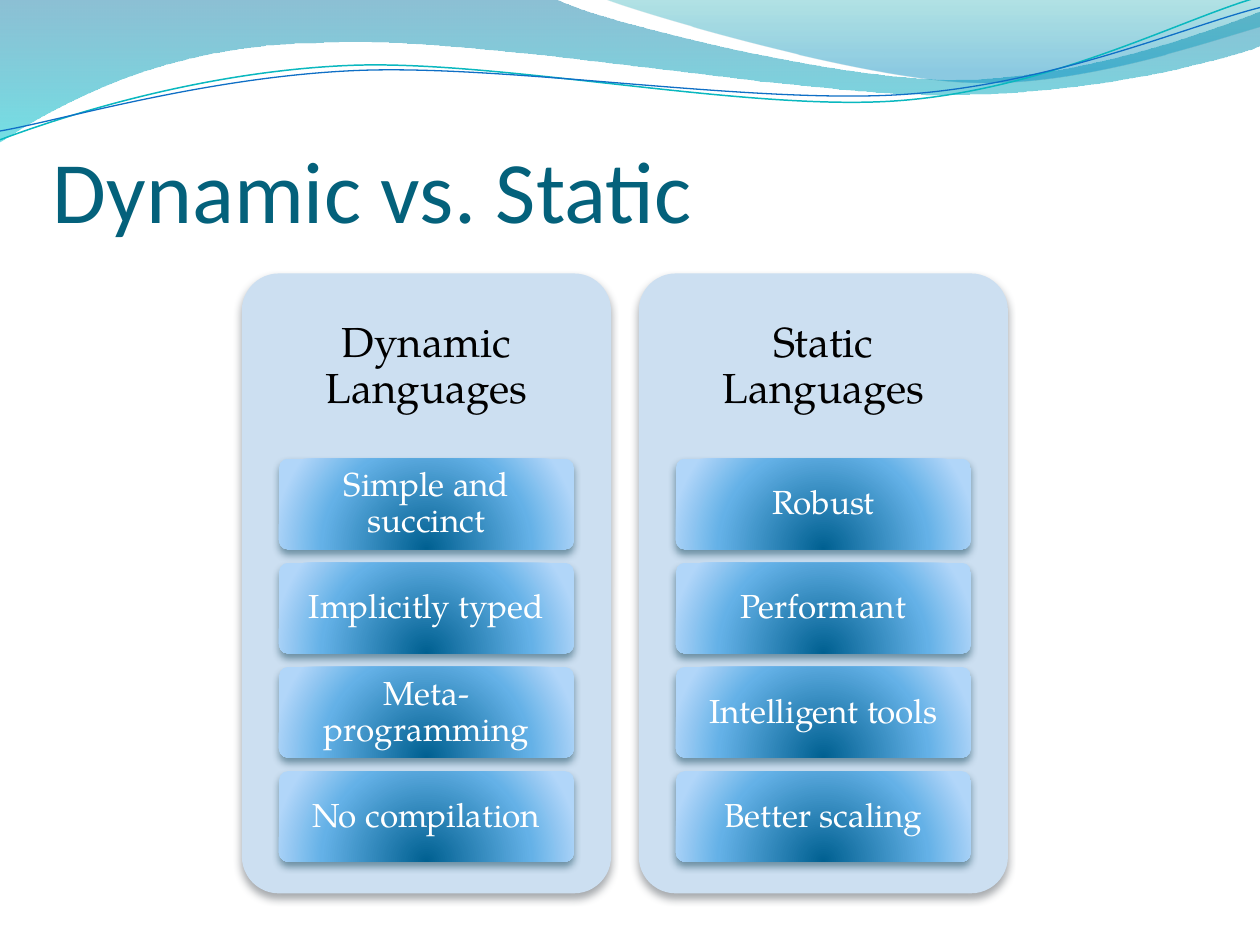
from lxml.etree import SubElement
from pptx import Presentation
from pptx.dml.color import RGBColor
from pptx.enum.shapes import MSO_SHAPE as Shape
from pptx.enum.text import MSO_ANCHOR as Anchor, MSO_AUTO_SIZE as AutoSize, PP_ALIGN as Align
from pptx.oxml.ns import qn
from pptx.util import Inches, Pt

COLORS = {
    "title": "04617B", "panel": "CCDFF1", "heading": "000000", "label": "FFFFFF",
    "panel_shadow": "474E55", "bar_shadow": "00374C",
    "bar_dark": "006091", "bar_mid": "64B1E7", "bar_light": "B1D6F9",
    "wave_blue": "0074A1", "wave_aqua": "00C6CF",
    "crest_teal": "00A1A9", "crest_blue": "008BBF",
    "line_teal": "0AB8BF", "line_blue": "0F6FC6",
}
WAVE = [(0, -0.01), (4.4, -0.01), (4.76, 0.17, 6.64, 0.63, 7.58, 0.63),
        (8.53, 0.63, 9.58, 0.26, 10, 0.09), (10.01, 0.36),
        (9.83, 0.44, 8.7, 0.76, 7.46, 0.75), (6.22, 0.75, 3.82, 0.28, 2.57, 0.34),
        (1.29, 0.35, 0.46, 0.83, -0.01, 1.13)]
CREST = [(4.79, -0.01), (5.09, 0.11, 6.82, 0.62, 7.69, 0.65),
         (8.56, 0.69, 9.61, 0.32, 10, 0.21), (10, 0)]
TEAL_LINE = [(0, 1.11), (0.48, 0.93, 1.58, 0.57, 2.77, 0.52),
             (3.95, 0.47, 5.93, 0.89, 7.13, 0.8), (8.33, 0.71, 9.38, 0.15, 9.98, -0.02)]
BLUE_LINE = [(0, 1.04), (0.47, 0.96, 1.64, 0.61, 2.83, 0.56),
             (4.03, 0.51, 5.97, 0.83, 7.17, 0.75), (8.36, 0.67, 9.41, 0.21, 10, 0.06)]
COLUMNS = [
    (("Dynamic", "Languages"),
     ["Simple and succinct", "Implicitly typed", "Meta-programming", "No compilation"]),
    (("Static", "Languages"),
     ["Robust", "Performant", "Intelligent tools", "Better scaling"]),
]
BAR_STOPS = [(0, "bar_dark", 100), (68, "bar_mid", 100), (100, "bar_light", 100)]
PANEL_WIDTH, PANEL_TOP, PANEL_HEIGHT, PANEL_PITCH = 2.93, 2.17, 4.92, 3.15
BAR_WIDTH, BAR_HEIGHT = 2.34, 0.72
FIRST_BAR_TOP, LAST_BAR_TOP = 3.64, 6.12


class SlideBuilder:
    """Holds the style and the current slide, and adds each kind of element."""

    def __init__(self, slide, body_font="TeX Gyre Pagella", title_font="Calibri"):
        self.slide = slide
        self.body_font = body_font
        self.title_font = title_font

    def color(self, name):
        return RGBColor.from_string(COLORS[name])

    def color_node(self, parent, name, opacity):
        node = SubElement(parent, qn("a:srgbClr"), val=COLORS[name])
        if opacity < 100:
            SubElement(node, qn("a:alpha"), val=str(opacity * 1000))

    def gradient(self, shape, stops, center=None):
        shape.fill.solid()
        solid = shape._element.spPr.find(qn("a:solidFill"))
        gradient = SubElement(shape._element.spPr, qn("a:gradFill"), rotWithShape="1")
        stop_list = SubElement(gradient, qn("a:gsLst"))
        for position, name, opacity in stops:
            stop = SubElement(stop_list, qn("a:gs"), pos=str(position * 1000))
            self.color_node(stop, name, opacity)
        if center:
            path = SubElement(gradient, qn("a:path"), path="circle")
            SubElement(path, qn("a:fillToRect"),
                       {side: str(value * 1000) for side, value in zip("ltrb", center)})
        else:
            SubElement(gradient, qn("a:lin"), ang="5400000", scaled="0")
        shape._element.spPr.replace(solid, gradient)

    def drop_shadow(self, shape, name):
        effects = shape._element.spPr.find(qn("a:effectLst"))
        shadow = SubElement(effects, qn("a:outerShdw"), blurRad=str(Pt(4.5)), dist=str(Pt(3)),
                            dir="5400000", rotWithShape="0")
        self.color_node(shadow, name, 48)

    def freeform(self, outline, close):
        points = [(Inches(x), Inches(y)) for entry in outline
                  for x, y in zip(entry[::2], entry[1::2])]
        builder = self.slide.shapes.build_freeform(*points[0], scale=1.0)
        builder.add_line_segments(points[1:], close=close)
        shape = builder.convert_to_shape()
        shape.shadow.inherit = False
        self.bend(shape, outline)
        return shape

    def bend(self, shape, outline):
        """Turn the line segments of each six-number entry into one cubic curve."""
        path = next(shape._element.spPr.iter(qn("a:path")))
        segments = iter(path.findall(qn("a:lnTo")))
        for entry in outline[1:]:
            segment = next(segments)
            if len(entry) == 6:
                curve = SubElement(path, qn("a:cubicBezTo"))
                path.replace(segment, curve)
                curve.append(segment[0])
                for _ in range(2):
                    corner = next(segments)
                    curve.append(corner[0])
                    path.remove(corner)

    def wave(self, outline, stops):
        shape = self.freeform(outline, close=True)
        shape.line.fill.background()
        self.gradient(shape, stops)

    def curve(self, outline, name, width):
        shape = self.freeform(outline, close=False)
        shape.fill.background()
        shape.line.color.rgb = self.color(name)
        shape.line.width = Pt(width)

    def text(self, frame, lines, size, name, inset_x, inset_y):
        frame.word_wrap = True
        frame.vertical_anchor = Anchor.MIDDLE
        frame.margin_left = frame.margin_right = Inches(inset_x)
        frame.margin_top = frame.margin_bottom = Inches(inset_y)
        paragraph = frame.paragraphs[0]
        paragraph.alignment = Align.CENTER
        paragraph.line_spacing = 0.9
        for index, line in enumerate(lines):
            if index:
                paragraph.add_line_break()
            self.run(paragraph, line, self.body_font, size, name)

    def run(self, paragraph, text, font, size, name):
        run = paragraph.add_run()
        run.text = text
        run.font.name = font
        run.font.size = Pt(size)
        run.font.color.rgb = self.color(name)

    def rounded(self, left, top, width, height, shadow):
        shape = self.slide.shapes.add_shape(Shape.ROUNDED_RECTANGLE, Inches(left), Inches(top),
                                            Inches(width), Inches(height))
        shape.adjustments[0] = 0.1
        shape.line.fill.background()
        shape.shadow.inherit = False
        self.drop_shadow(shape, shadow)
        return shape

    def panel(self, left, heading):
        shape = self.rounded(left, PANEL_TOP, PANEL_WIDTH, PANEL_HEIGHT, "panel_shadow")
        shape.fill.solid()
        shape.fill.fore_color.rgb = self.color("panel")
        box = self.slide.shapes.add_textbox(Inches(left), Inches(PANEL_TOP),
                                            Inches(PANEL_WIDTH), Inches(1.48))
        self.text(box.text_frame, heading, 24, "heading", 0.1, 0.1)

    def bar(self, left, top, label):
        shape = self.rounded(left, top, BAR_WIDTH, BAR_HEIGHT, "bar_shadow")
        self.gradient(shape, BAR_STOPS, center=(50, 130, 50, -30))
        self.text(shape.text_frame, [label], 19, "label", 0.03, 0.02)

    def title(self, text):
        title = self.slide.shapes.title
        title.left, title.top = Inches(0.42), Inches(1.08)
        title.width, title.height = Inches(9.16), Inches(0.84)
        frame = title.text_frame
        frame.auto_size = AutoSize.NONE
        frame.vertical_anchor = Anchor.TOP
        frame.margin_left = frame.margin_right = frame.margin_top = frame.margin_bottom = 0
        frame.paragraphs[0].alignment = Align.LEFT
        self.run(frame.paragraphs[0], text, self.title_font, 50, "title")


def main():
    presentation = Presentation()
    presentation.slide_width, presentation.slide_height = Inches(10), Inches(7.5)
    builder = SlideBuilder(presentation.slides.add_slide(presentation.slide_layouts[5]))
    builder.wave(WAVE, [(0, "wave_blue", 45), (100, "wave_aqua", 55)])
    builder.wave(CREST, [(0, "crest_teal", 30), (80, "crest_blue", 45)])
    builder.curve(TEAL_LINE, "line_teal", 0.85)
    builder.curve(BLUE_LINE, "line_blue", 0.75)
    builder.title("Dynamic vs. Static")
    for column, (heading, labels) in enumerate(COLUMNS):
        left = 1.92 + column * PANEL_PITCH
        builder.panel(left, heading)
        bar_pitch = (LAST_BAR_TOP - FIRST_BAR_TOP) / (len(labels) - 1)
        for row, label in enumerate(labels):
            builder.bar(left + (PANEL_WIDTH - BAR_WIDTH) / 2, FIRST_BAR_TOP + row * bar_pitch, label)
    presentation.save("out.pptx")


if __name__ == "__main__":
    main()
